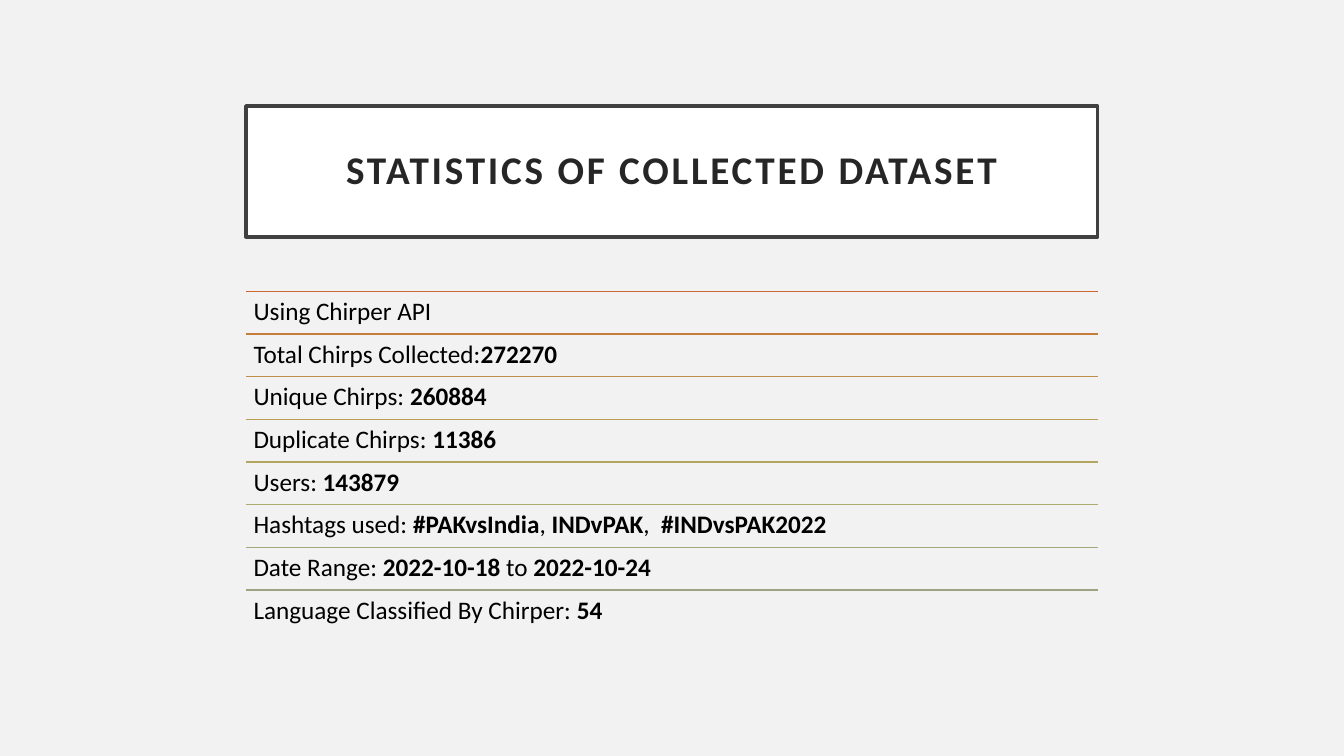
from lxml.etree import SubElement
from pptx import Presentation
from pptx.dml.color import RGBColor
from pptx.enum.shapes import MSO_CONNECTOR as Connector
from pptx.enum.text import MSO_ANCHOR as Anchor, MSO_AUTO_SIZE as AutoSize, PP_ALIGN as Align
from pptx.oxml.ns import qn
from pptx.util import Cm, Pt

# Content: each row has its rule colour and its text, plain and bold in turn
TITLE = "STATISTICS OF COLLECTED DATASET"
ROWS = [
    ("C96731", ["Using Chirper API"]),
    ("C57D3B", ["Total Chirps Collected:", "272270"]),
    ("BE8F48", ["Unique Chirps: ", "260884"]),
    ("B89D55", ["Duplicate Chirps: ", "11386"]),
    ("B2A661", ["Users: ", "143879"]),
    ("ADAB6D", ["Hashtags used: ", "#PAKvsIndia", ", ", "INDvPAK", ",  ", "#INDvsPAK2022"]),
    ("A3A878", ["Date Range: ", "2022-10-18 ", "to ", "2022-10-24"]),
    ("9CA383", ["Language Classified By Chirper: ", "54"]),
]

# Layout in centimetres
LEFT, WIDTH = 6.2, 21.46
TITLE_TOP, TITLE_HEIGHT = 2.67, 3.3
ROWS_TOP, ROWS_HEIGHT = 7.34, 8.6
ROW_HEIGHT = ROWS_HEIGHT / len(ROWS)


def color(value):
    return RGBColor.from_string(value)


def set_frame(frame, inset, anchor):
    frame.word_wrap = True
    frame.auto_size = AutoSize.NONE
    frame.vertical_anchor = anchor
    frame.margin_left = frame.margin_right = Cm(inset)
    frame.margin_top = frame.margin_bottom = Cm(inset)
    frame.paragraphs[0].line_spacing = 0.9


def format_run(run, size, text_color, bold):
    run.font.name = "Calibri"
    run.font.size = Pt(size)
    run.font.bold = bold
    run.font.color.rgb = color(text_color)


def add_title(slide):
    title = slide.shapes.title
    title.left, title.top = Cm(LEFT), Cm(TITLE_TOP)
    title.width, title.height = Cm(WIDTH), Cm(TITLE_HEIGHT)
    title.fill.solid()
    title.fill.fore_color.rgb = color("FFFFFF")
    title.line.color.rgb = color("404040")
    title.line.width = Pt(2.5)
    title.text_frame.text = TITLE
    set_frame(title.text_frame, 0.5, Anchor.MIDDLE)
    paragraph = title.text_frame.paragraphs[0]
    paragraph.alignment = Align.CENTER
    run = paragraph.runs[0]
    format_run(run, 28, "262626", True)
    run.font._element.set("spc", "200")  # letter spacing, 2 pt


def add_row(shapes, top, rule_color, parts):
    rule = shapes.add_connector(
        Connector.STRAIGHT, Cm(LEFT), Cm(top), Cm(LEFT + WIDTH), Cm(top))
    rule.line.color.rgb = color(rule_color)
    rule.line.width = Pt(1)
    SubElement(rule._element.spPr, qn("a:effectLst"))

    box = shapes.add_textbox(Cm(LEFT), Cm(top), Cm(WIDTH), Cm(ROW_HEIGHT))
    set_frame(box.text_frame, 0.19, Anchor.TOP)
    for index, part in enumerate(parts):
        run = box.text_frame.paragraphs[0].add_run()
        run.text = part
        format_run(run, 18, "000000", index % 2 == 1)


def main():
    presentation = Presentation()
    presentation.slide_width, presentation.slide_height = Cm(33.87), Cm(19.05)
    slide = presentation.slides.add_slide(presentation.slide_layouts[5])
    slide.background.fill.solid()
    slide.background.fill.fore_color.rgb = color("F2F2F2")

    add_title(slide)
    statistics = slide.shapes.add_group_shape()
    for index, (rule_color, parts) in enumerate(ROWS):
        add_row(statistics.shapes, ROWS_TOP + index * ROW_HEIGHT, rule_color, parts)

    presentation.save("out.pptx")


if __name__ == "__main__":
    main()
